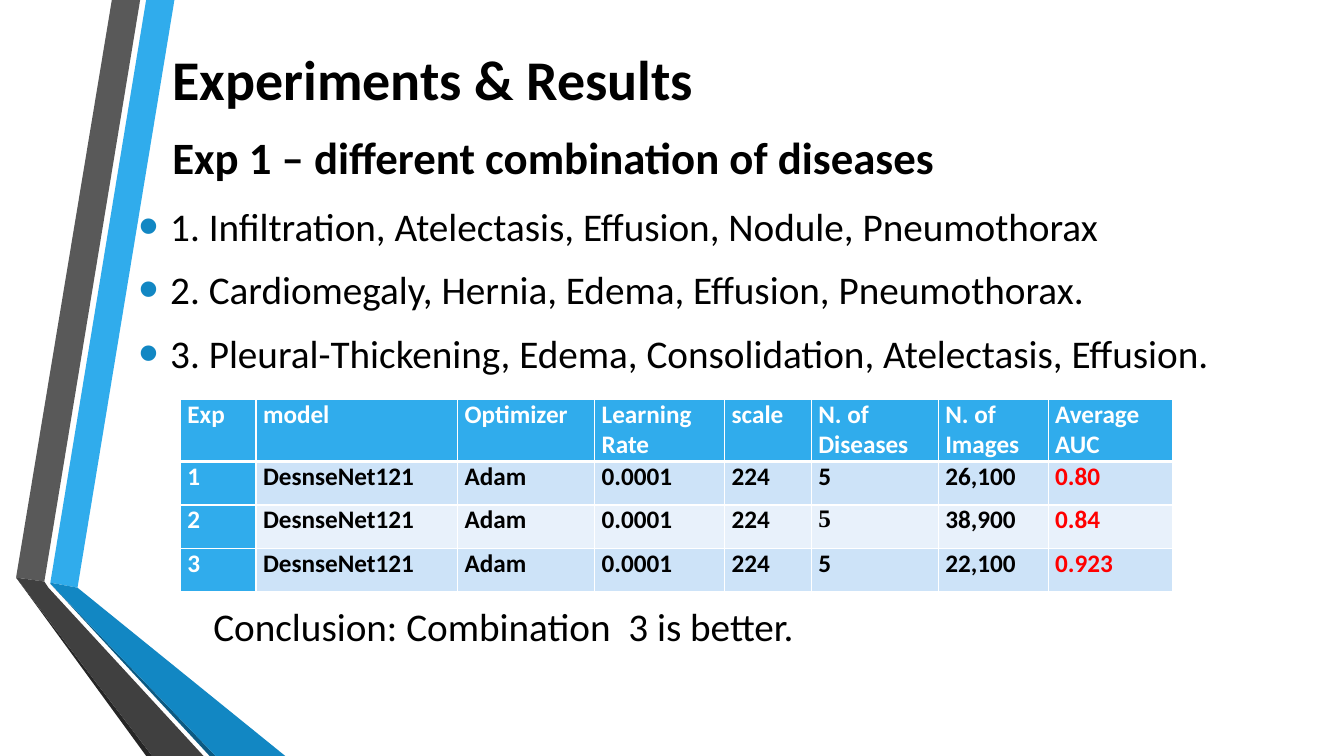
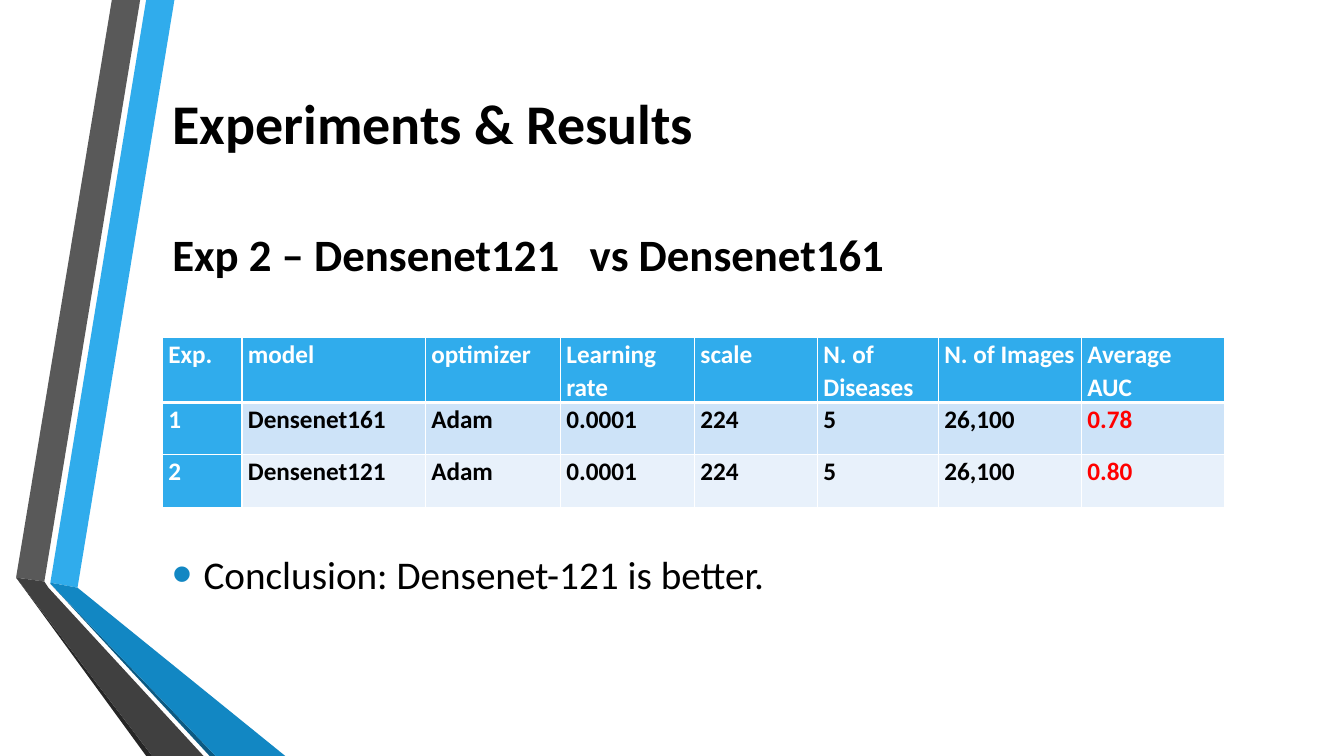
"""Builds two slides that report the results of disease classification runs."""
from lxml.etree import SubElement
from pptx import Presentation
from pptx.dml.color import RGBColor
from pptx.enum.text import MSO_ANCHOR, PP_ALIGN
from pptx.oxml.ns import qn
from pptx.util import Pt

BLACK = RGBColor(0x00, 0x00, 0x00)
WHITE = RGBColor(0xFF, 0xFF, 0xFF)
RED = RGBColor(0xFF, 0x00, 0x00)
SKY = RGBColor(0x30, 0xAC, 0xEC)
BLUE = RGBColor(0x12, 0x87, 0xC3)
NAVY = RGBColor(0x0C, 0x5A, 0x82)
GREY = RGBColor(0x59, 0x59, 0x59)
DARK = RGBColor(0x40, 0x40, 0x40)
COAL = RGBColor(0x26, 0x26, 0x26)
BANDS = [RGBColor(0xCD, 0xE3, 0xF8), RGBColor(0xE8, 0xF1, 0xFB)]
FONT = "Calibri"
SERIF = "Times New Roman"

RIBBONS = [
    (SKY, [(36, 416.2), (55.4, 419.8), (124.6, 0), (104.4, 0)]),
    (GREY, [(100.1, 0), (79.9, 0), (11.5, 412.6), (31.7, 415.4)]),
    (COAL, [(11.5, 412.6), (104.4, 540), (108.7, 540)]),
    (NAVY, [(36, 416.9), (149.8, 540), (154.1, 540)]),
    (BLUE, [(36, 416.2), (36, 416.9), (154.1, 540), (203.8, 540), (55.4, 419.8)]),
    (DARK, [(145.4, 540), (34.6, 419.8), (31.7, 415.4), (11.5, 412.6), (108.7, 540)]),
]

PAGES = [
    {
        "title": 22.3,
        "head": ("Exp 1 – different combination of diseases", 78.5),
        "notes": [
            ("1. Infiltration, Atelectasis, Effusion, Nodule, Pneumothorax\n"
             "2. Cardiomegaly, Hernia, Edema, Effusion, Pneumothorax.\n"
             "3. Pleural-Thickening, Edema, Consolidation, Atelectasis, Effusion.",
             (92, 141, 868, 134.6), True),
            ("Conclusion: Combination  3 is better.", (145.4, 427, 750, 41), False),
        ],
        "spot": (128.9, 285.1),
        "cols": [54, 144, 97.9, 92.9, 61.9, 90.7, 78.5, 88.6],
        "tall": [44.6, 31, 31, 31],
        "cell": {"align": PP_ALIGN.JUSTIFY},
        "pad": 5,
        "rows": [
            ["Exp", "model", "Optimizer", "Learning\nRate", "scale",
             "N. of\nDiseases", "N. of\nImages", "Average\nAUC"],
            ["1", "DesnseNet121", "Adam", "0.0001", "224", "5", "26,100", "0.80"],
            ["2", "DesnseNet121", "Adam", "0.0001", "224", "5", "38,900", "0.84"],
            ["3", "DesnseNet121", "Adam", "0.0001", "224", "5", "22,100", "0.923"],
        ],
        "serif": (2, 5),
    },
    {
        "title": 54,
        "head": ("Exp 2 – Densenet121   vs Densenet161", 147.6),
        "notes": [
            ("Conclusion: Densenet-121 is better.", (115.9, 389.5, 750, 41), True),
        ],
        "spot": (115.9, 241.2),
        "cols": [56.9, 131, 96.5, 95.8, 87.8, 86.4, 102.2, 102.2],
        "tall": [46.1, 37.4, 37.4],
        "cell": {"line": 1.07},
        "pad": 4.3,
        "rows": [
            ["Exp.", "model", "optimizer", "Learning rate", "scale",
             "N. of Diseases", "N. of Images", "Average AUC"],
            ["1", "Densenet161", "Adam", "0.0001", "224", "5", "26,100", "0.78"],
            ["2", "Densenet121", "Adam", "0.0001", "224", "5", "26,100", "0.80"],
        ],
        "serif": None,
    },
]


def write(frame, text, size=28, color=BLACK, bold=False, font=FONT, align=None,
          line=None, gap=0, after=0, dots=False, anchor=MSO_ANCHOR.TOP):
    """Fill a text frame, one paragraph for each line of text."""
    frame.word_wrap = True
    frame.vertical_anchor = anchor
    for i, part in enumerate(text.split("\n")):
        para = frame.add_paragraph() if i else frame.paragraphs[0]
        if dots:
            props = para._p.get_or_add_pPr()
            props.set("marL", str(Pt(22.5)))
            props.set("indent", str(-Pt(22.5)))
            tint = SubElement(props, qn("a:buClr"))
            SubElement(tint, qn("a:srgbClr"), val=str(BLUE))
            SubElement(props, qn("a:buSzPct"), val="145000")
            SubElement(props, qn("a:buFont"), typeface="Arial")
            SubElement(props, qn("a:buChar"), char="•")
        para.alignment = align
        para.line_spacing = line
        para.space_before = Pt(gap if i else 0)
        para.space_after = Pt(after)
        run = para.add_run()
        run.text = part
        run.font.name = font
        run.font.size = Pt(size)
        run.font.bold = bold
        run.font.color.rgb = color


def edge(cell, row):
    """Give a cell white borders, thick under the header row."""
    props = cell._tc.get_or_add_tcPr()
    thick = {0: "lnB", 1: "lnT"}.get(row)
    for side in ("lnL", "lnR", "lnT", "lnB"):
        width = Pt(3 if side == thick else 1)
        rule = SubElement(props, qn(f"a:{side}"), w=str(width))
        paint = SubElement(rule, qn("a:solidFill"))
        SubElement(paint, qn("a:srgbClr"), val=str(WHITE))


deck = Presentation()
deck.slide_width, deck.slide_height = Pt(960), Pt(540)

for page in PAGES:
    shapes = deck.slides.add_slide(deck.slide_layouts[6]).shapes

    for color, points in RIBBONS:
        first, *rest = [(Pt(x), Pt(y)) for x, y in points]
        pen = shapes.build_freeform(*first)
        pen.add_line_segments(rest)
        ribbon = pen.convert_to_shape()
        ribbon.shadow.inherit = False
        ribbon.fill.solid()
        ribbon.fill.fore_color.rgb = color
        ribbon.line.fill.background()

    head, top = page["head"]
    for text, y, size in [("Experiments & Results", page["title"], 40), (head, top, 32)]:
        box = shapes.add_textbox(Pt(116), Pt(y), Pt(789), Pt(67))
        write(box.text_frame, text, size=size, bold=True, anchor=MSO_ANCHOR.MIDDLE)

    for text, place, dots in page["notes"]:
        box = shapes.add_textbox(*map(Pt, place))
        write(box.text_frame, text, dots=dots, gap=5.6, after=6)

    rows, cols, tall = page["rows"], page["cols"], page["tall"]
    size = sum(cols), sum(tall)
    grid = shapes.add_table(len(rows), len(cols), *map(Pt, page["spot"] + size)).table
    for c, width in enumerate(cols):
        grid.columns[c].width = Pt(width)
    for r, row in enumerate(rows):
        grid.rows[r].height = Pt(tall[r])
        for c, text in enumerate(row):
            cell = grid.cell(r, c)
            cell.margin_left = cell.margin_right = Pt(page["pad"])
            cell.margin_top = cell.margin_bottom = 0
            edge(cell, r)
            label = r == 0 or c == 0
            cell.fill.solid()
            cell.fill.fore_color.rgb = SKY if label else BANDS[(r - 1) % 2]
            color = WHITE if label else RED if c == len(cols) - 1 else BLACK
            font = SERIF if (r, c) == page["serif"] else FONT
            write(cell.text_frame, text, size=18, color=color, bold=True,
                  font=font, **page["cell"])

deck.save("out.pptx")
